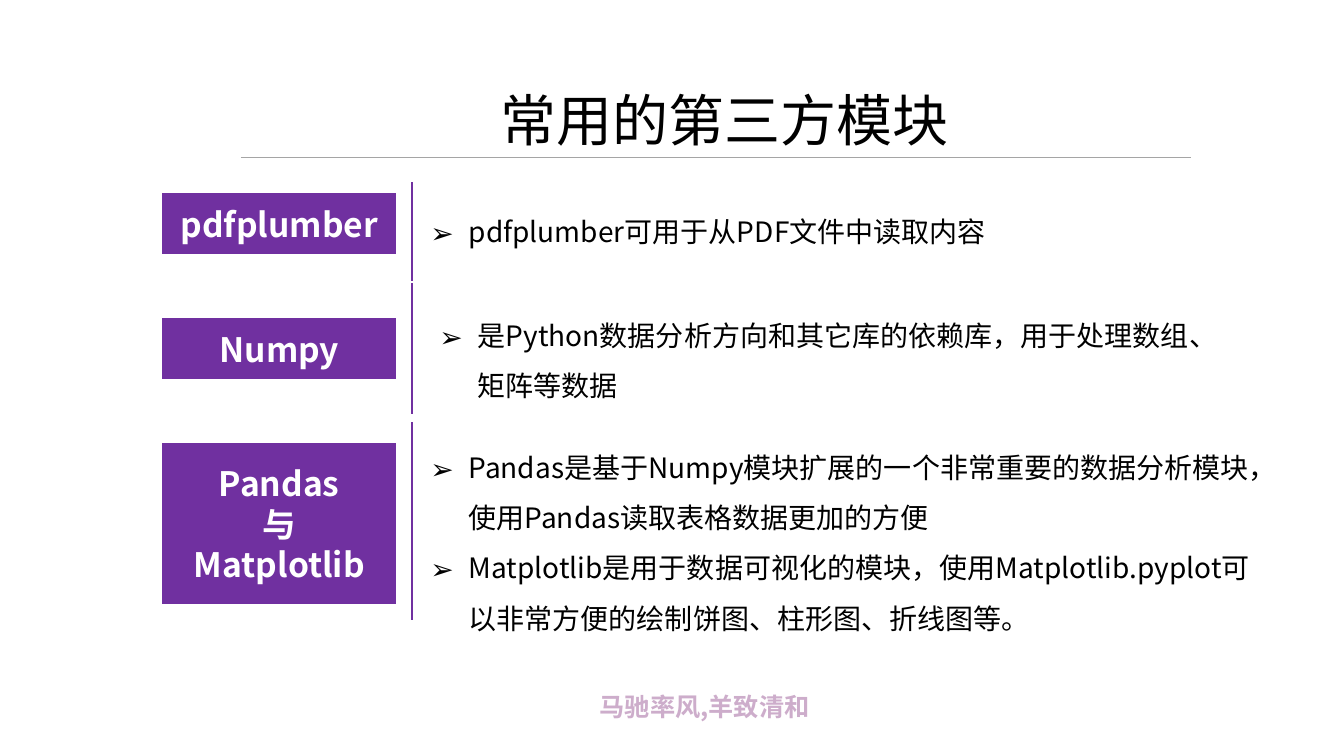
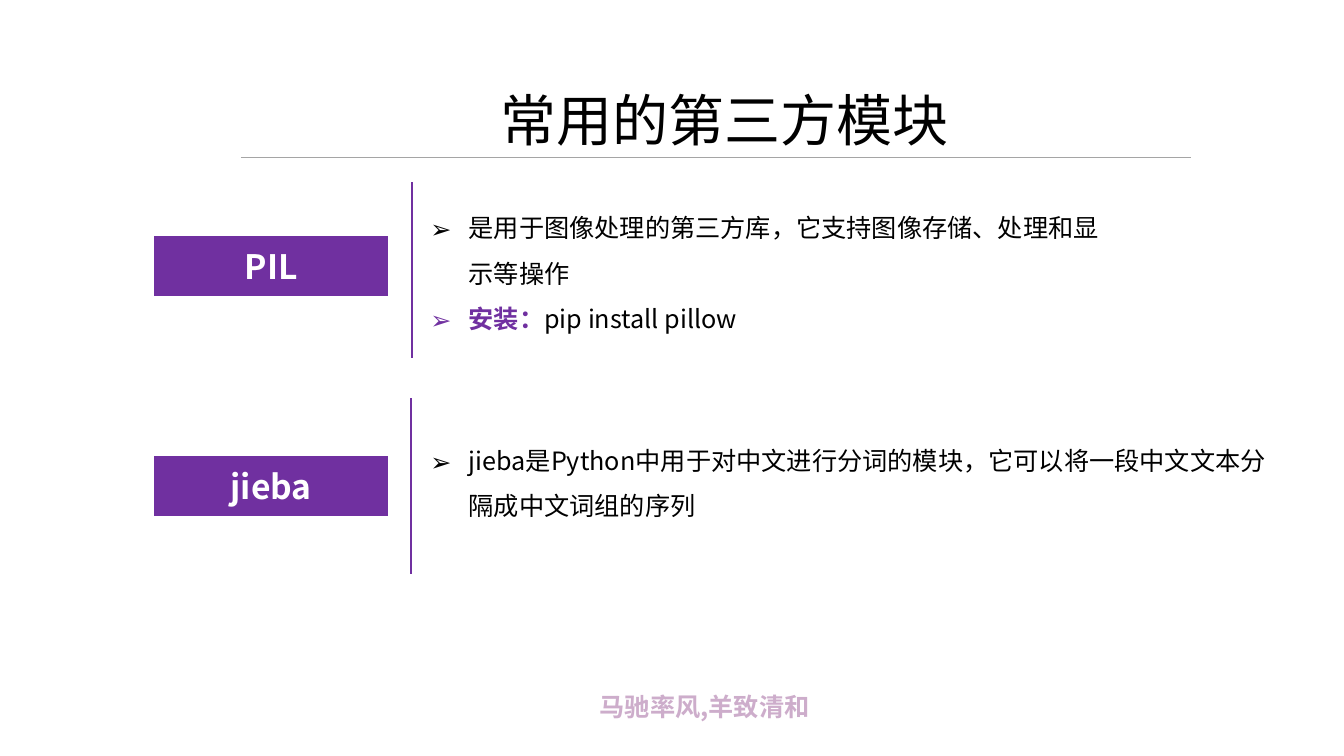
from dataclasses import dataclass

from lxml.etree import SubElement
from pptx import Presentation
from pptx.dml.color import RGBColor
from pptx.enum.lang import MSO_LANGUAGE_ID
from pptx.enum.shapes import MSO_CONNECTOR, MSO_SHAPE
from pptx.enum.text import MSO_ANCHOR, MSO_AUTO_SIZE, PP_ALIGN
from pptx.oxml.ns import qn
from pptx.slide import Slide
from pptx.util import Emu, Pt

FONT = "Noto Sans CJK SC"
PURPLE, WHITE, BLACK = "7030A0", "FFFFFF", "000000"
MOTTO_COLOR, RULE_COLOR = "CDADCB", "A5A5A5"
TITLE = "常用的第三方模块"
MOTTO = "马驰率风,羊致清和"
LABEL_WIDTH = 230
BULLET_INDENT = 38


@dataclass(frozen=True)
class Span:
    text: str
    size: int
    color: str = BLACK
    bold: bool = False


@dataclass(frozen=True)
class Box:
    left: int
    top: int
    width: int
    height: int


@dataclass(frozen=True)
class Topic:
    label: list[str]
    label_box: Box
    divider: tuple[int, int, int]
    note_box: Box
    notes: list[list[Span]]


def px(length: int) -> Emu:
    """Convert pixels, 100 to the inch, to EMU."""
    return Emu(length * 9144)


def rgb(color: str) -> RGBColor:
    """Turn a hex string into a colour."""
    return RGBColor.from_string(color)


def bounds(box: Box) -> tuple[Emu, Emu, Emu, Emu]:
    """Give the place of a box in EMU."""
    return px(box.left), px(box.top), px(box.width), px(box.height)


def add_span(para, span: Span) -> None:
    """Append one formatted run to a paragraph."""
    run = para.add_run()
    run.text = span.text
    run.font.size = Pt(span.size)
    run.font.bold = span.bold
    run.font.color.rgb = rgb(span.color)
    run.font.name = FONT
    run.font.language_id = MSO_LANGUAGE_ID.SIMPLIFIED_CHINESE
    SubElement(run.font._element, qn("a:ea")).set("typeface", FONT)


def add_paragraphs(frame, rows: list[list[Span]]) -> list:
    """Fill a text frame with one paragraph per row of spans."""
    paras = []
    for index, row in enumerate(rows):
        para = frame.add_paragraph() if index else frame.paragraphs[0]
        for span in row:
            add_span(para, span)
        paras.append(para)
    return paras


def add_text(page: Slide, box: Box, rows: list[list[Span]], wrap: bool = True) -> list:
    """Draw a text box and return its paragraphs."""
    frame = page.shapes.add_textbox(*bounds(box)).text_frame
    frame.word_wrap = wrap
    frame.auto_size = MSO_AUTO_SIZE.SHAPE_TO_FIT_TEXT
    return add_paragraphs(frame, rows)


def add_line(page: Slide, start: tuple[int, int], end: tuple[int, int], color: str, width: float) -> None:
    """Draw a straight line without shadow."""
    line = page.shapes.add_connector(MSO_CONNECTOR.STRAIGHT, *map(px, start + end))
    line.line.color.rgb = rgb(color)
    line.line.width = Pt(width)
    SubElement(line._element.spPr, qn("a:effectLst"))


def add_bullet(para) -> None:
    """Give a paragraph an arrow bullet and a hanging indent."""
    para.line_spacing = 1.5
    properties = para._p.get_or_add_pPr()
    properties.set("marL", str(px(BULLET_INDENT)))
    properties.set("indent", str(-px(BULLET_INDENT)))
    properties.set("hangingPunct", "1")
    SubElement(properties, qn("a:buFont")).set("typeface", FONT)
    SubElement(properties, qn("a:buChar")).set("char", "➢")


def add_label(page: Slide, box: Box, lines: list[str]) -> None:
    """Draw a purple block with a centred module name."""
    shape = page.shapes.add_shape(MSO_SHAPE.RECTANGLE, *bounds(box))
    shape.shadow.inherit = False
    shape.fill.solid()
    shape.fill.fore_color.rgb = rgb(PURPLE)
    shape.line.color.rgb = rgb(PURPLE)
    shape.line.width = Pt(1.5)
    SubElement(shape.get_or_add_ln(), qn("a:miter")).set("lim", "800000")
    frame = shape.text_frame
    frame.word_wrap = True
    frame.vertical_anchor = MSO_ANCHOR.MIDDLE
    for para in add_paragraphs(frame, [[Span(line, 24, WHITE, True)] for line in lines]):
        para.alignment = PP_ALIGN.CENTER


def add_topic(page: Slide, topic: Topic) -> None:
    """Draw a label, its notes and the divider between them."""
    add_label(page, topic.label_box, topic.label)
    for para in add_text(page, topic.note_box, topic.notes):
        add_bullet(para)
    left, top, bottom = topic.divider
    add_line(page, (left, top), (left, bottom), PURPLE, 1.5)


def add_page(deck, topics: list[Topic]) -> None:
    """Add a slide with the shared title, rule and motto, then its topics."""
    page = deck.slides.add_slide(deck.slide_layouts[6])
    add_text(page, Box(585, 681, 284, 40), [[Span(MOTTO, 18, MOTTO_COLOR, True)]])
    add_line(page, (239, 156), (1181, 156), RULE_COLOR, 0.5)
    add_text(page, Box(487, 80, 469, 77), [[Span(TITLE, 40)]], wrap=False)
    for topic in topics:
        add_topic(page, topic)


PAGES = [
    [
        Topic(
            ["pdfplumber"],
            Box(162, 193, LABEL_WIDTH, 58),
            (409, 181, 279),
            Box(417, 191, 686, 55),
            [[Span("pdfplumber可用于从PDF文件中读取内容", 20)]],
        ),
        Topic(
            ["Numpy"],
            Box(162, 317, LABEL_WIDTH, 58),
            (409, 281, 411),
            Box(426, 294, 791, 105),
            [[Span("是Python数据分析方向和其它库的依赖库，用于处理数组、矩阵等数据", 20)]],
        ),
        Topic(
            ["Pandas", "与", "Matplotlib"],
            Box(162, 441, LABEL_WIDTH, 157),
            (409, 419, 615),
            Box(417, 425, 854, 206),
            [
                [Span("Pandas是基于Numpy模块扩展的一个非常重要的数据分析模块，使用Pandas读取表格数据更加的方便", 20)],
                [Span("Matplotlib是用于数据可视化的模块，使用Matplotlib.pyplot可以非常方便的绘制饼图、柱形图、折线图等。", 20)],
            ],
        ),
    ],
    [
        Topic(
            ["PIL"],
            Box(154, 235, LABEL_WIDTH, 58),
            (409, 181, 355),
            Box(417, 191, 686, 191),
            [
                [Span("是用于图像处理的第三方库，它支持图像存储、处理和显示等操作", 18)],
                [Span("安装：", 18, PURPLE, True), Span("pip install pillow", 18)],
            ],
        ),
        Topic(
            ["jieba"],
            Box(154, 453, LABEL_WIDTH, 58),
            (408, 395, 569),
            Box(417, 422, 854, 96),
            [[Span("jieba是Python中用于对中文进行分词的模块，它可以将一段中文文本分隔成中文词组的序列", 18)]],
        ),
    ],
]


def main() -> None:
    """Build the deck and save it."""
    deck = Presentation()
    deck.slide_width, deck.slide_height = px(1333), px(750)
    for topics in PAGES:
        add_page(deck, topics)
    deck.save("out.pptx")


if __name__ == "__main__":
    main()
